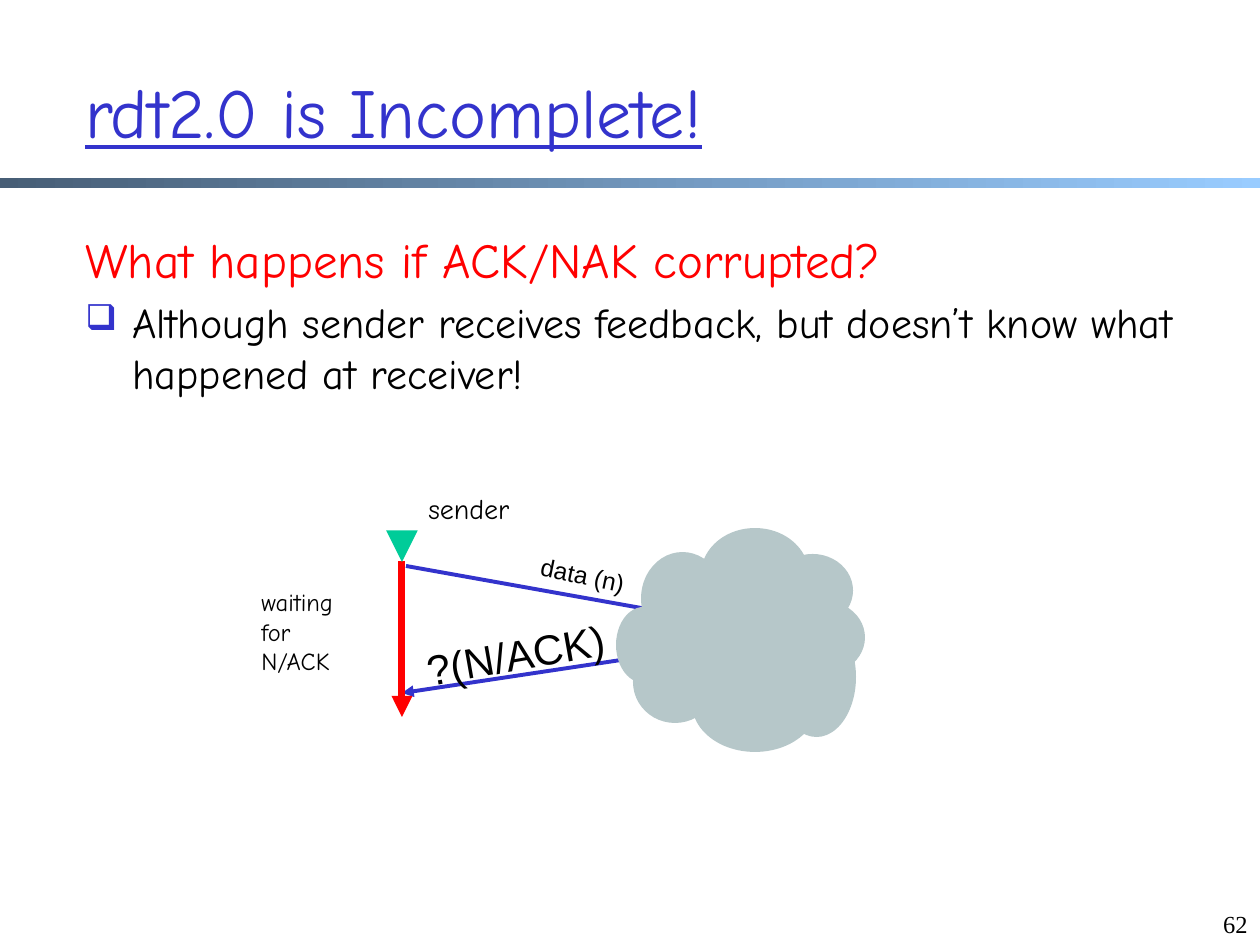
from lxml.etree import SubElement
from pptx import Presentation
from pptx.dml.color import RGBColor
from pptx.enum.shapes import MSO_CONNECTOR, MSO_SHAPE
from pptx.enum.text import MSO_ANCHOR, PP_ALIGN
from pptx.oxml.ns import qn
from pptx.util import Pt

SCALE = 914400 / 126
COMIC, ARIAL, TIMES = "Comic Neue", "Arial", "Times New Roman"
BLUE, RED, GREEN, GREY, BLACK = "3333CC", "FF0000", "00CC99", "B6C7C9", "000000"


def px(*nums):
    """Turn px into EMU."""
    return [round(n * SCALE) for n in nums]


def color(code):
    """Turn a hex string into a colour."""
    return RGBColor.from_string(code)


def add_run(para, text, size, font=COMIC, ink=BLACK, under=None):
    """Add one styled run."""
    run = para.add_run()
    run.text = text
    run.font.size = Pt(size)
    run.font.name = font
    run.font.color.rgb = color(ink)
    run.font.underline = under


def add_box(slide, box, anchor=MSO_ANCHOR.TOP, turn=0):
    """Add an empty wrapping text box."""
    shape = slide.shapes.add_textbox(*px(*box))
    shape.rotation = turn
    frame = shape.text_frame
    frame.word_wrap = True
    frame.vertical_anchor = anchor
    return frame


def add_arrow(slide, start, end, ink, width):
    """Draw a line with a triangle at its end."""
    line = slide.shapes.add_connector(MSO_CONNECTOR.STRAIGHT, *px(*start, *end))
    line.line.color.rgb = color(ink)
    line.line.width = Pt(width)
    SubElement(line.line._get_or_add_ln(), qn("a:tailEnd"), type="triangle")
    SubElement(line._element.spPr, qn("a:effectLst"))


def add_shape(slide, kind, box):
    """Add a preset shape with no line or shadow."""
    shape = slide.shapes.add_shape(kind, *px(*box))
    shape.shadow.inherit = False
    shape.line.fill.background()
    return shape


def add_rule(slide, box):
    """Draw the gradient bar under the title."""
    fill = add_shape(slide, MSO_SHAPE.RECTANGLE, box).fill
    fill.gradient()
    fill.gradient_angle = 0
    for stop, code, place in zip(fill.gradient_stops, ("475E76", "99CCFF"), (0, 1)):
        stop.color.rgb = color(code)
        stop.position = place


def add_title(slide, box):
    """Write the slide title."""
    frame = add_box(slide, box, MSO_ANCHOR.MIDDLE)
    add_run(frame.paragraphs[0], "rdt2.0 is Incomplete!", 40, ink=BLUE, under=True)


def add_body(slide, box):
    """Write the question and its bullet."""
    frame = add_box(slide, box)
    add_run(frame.paragraphs[0], "What happens if ACK/NAK corrupted?", 28, ink=RED)
    para = frame.add_paragraph()
    para.space_before = Pt(5)
    props = para._p.get_or_add_pPr()
    indent = px(47)[0]
    props.set("marL", str(indent))
    props.set("indent", str(-indent))
    SubElement(SubElement(props, qn("a:buClr")), qn("a:srgbClr"), val=BLUE)
    SubElement(props, qn("a:buSzPct"), val="85000")
    SubElement(props, qn("a:buChar"), char="❑")
    add_run(para, "Although sender receives feedback, but doesn’t know what "
            "happened at receiver!", 24)


def add_cloud(slide, left, top):
    """Build the network cloud from ellipses."""
    puffs = [
        (85, 0, 108, 93), (25, 24, 83, 93), (0, 79, 55, 76),
        (17, 113, 84, 82), (76, 127, 126, 97), (156, 26, 81, 73),
        (168, 73, 81, 73), (161, 89, 79, 120), (44, 53, 161, 120),
    ]
    for x, y, wide, high in puffs:
        puff = add_shape(slide, MSO_SHAPE.OVAL, (left + x, top + y, wide, high))
        puff.fill.solid()
        puff.fill.fore_color.rgb = color(GREY)


def add_chart(slide, left, top):
    """Draw the sender timeline, its messages and the cloud."""
    arrows = [
        (157, 81, 521, 146, BLUE, 2.25),
        (518, 153, 153, 208, BLUE, 2.25),
        (153, 76, 153, 232, RED, 4),
        (153, 47, 153, 77, GREEN, 6),
    ]
    labels = [
        (167, 0, 115, 47, 0, ["sender"], 16, COMIC),
        (279, 69, 110, 42, 11.8, ["data (n)"], 14, ARIAL),
        (0, 96, 129, 101, 0, ["waiting", "for N/ACK"], 14, COMIC),
        (164, 134, 248, 63, 350, ["?(N/ACK)"], 24, ARIAL),
    ]
    for x, y, right, low, ink, width in arrows:
        add_arrow(slide, (left + x, top + y), (left + right, top + low), ink, width)
    for x, y, wide, high, turn, lines, size, font in labels:
        frame = add_box(slide, (left + x, top + y, wide, high), turn=turn)
        para = frame.paragraphs[0]
        for i, text in enumerate(lines):
            if i:
                para.add_line_break()
            add_run(para, text, size, font)
    add_cloud(slide, left + 367, top + 43)


def add_number(slide, box):
    """Write the page number."""
    para = add_box(slide, box, MSO_ANCHOR.BOTTOM).paragraphs[0]
    para.alignment = PP_ALIGN.RIGHT
    add_run(para, "62", 14, TIMES)


def main():
    """Build and save the slide."""
    deck = Presentation()
    deck.slide_width, deck.slide_height = px(1260, 945)
    slide = deck.slides.add_slide(deck.slide_layouts[6])
    add_rule(slide, (0, 178, 1260, 10))
    add_number(slide, (966, 882, 294, 63))
    add_title(slide, (73, 32, 1071, 157))
    add_body(slide, (73, 223, 1128, 659))
    add_chart(slide, 249, 485)
    deck.save("out.pptx")


if __name__ == "__main__":
    main()
